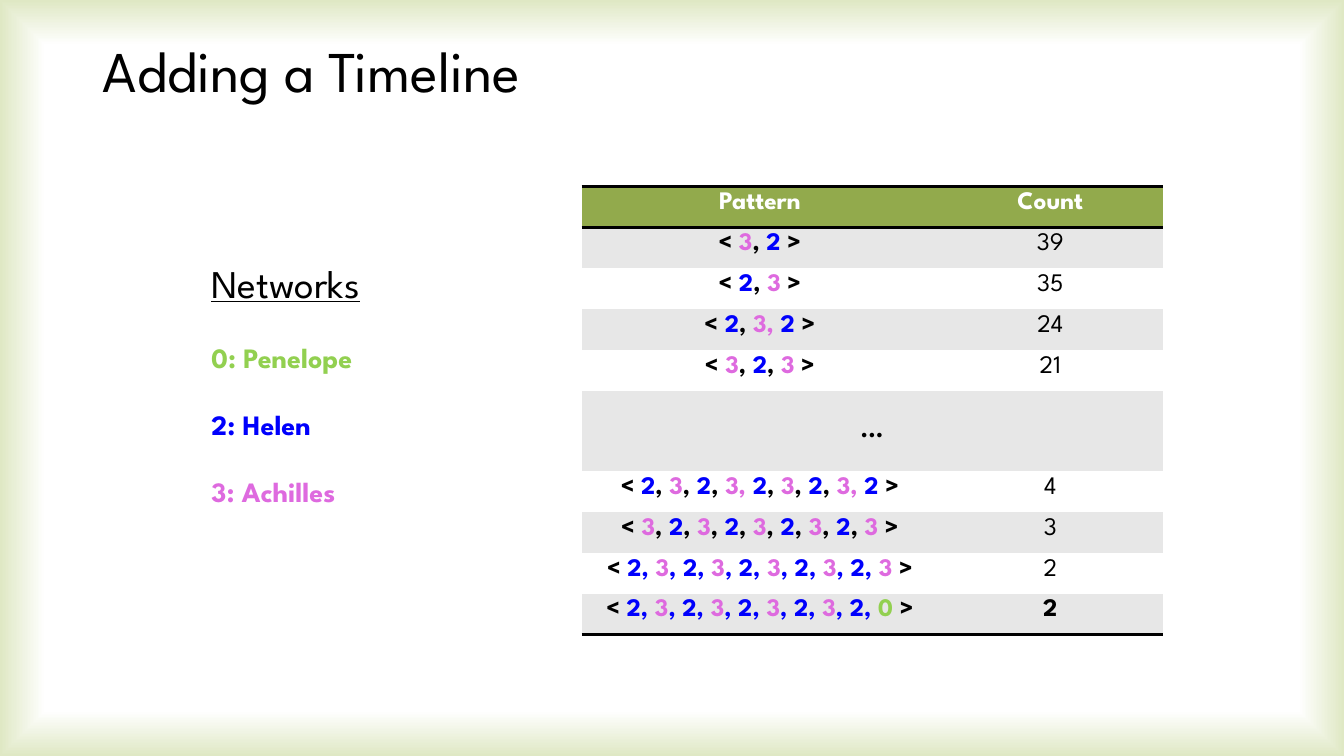
from dataclasses import dataclass
from typing import Optional

from lxml import etree
from pptx import Presentation
from pptx import util as u
from pptx.dml.color import RGBColor
from pptx.enum import text
from pptx.oxml import ns


@dataclass(frozen=True)
class Theme:
    font: str = "League Spartan"
    black: str = "000000"
    white: str = "FFFFFF"
    edge: str = "DFE8C4"
    header: str = "92AA4C"
    band: str = "E7E7E7"
    penelope: str = "92D050"
    helen: str = "0000FC"
    achilles: str = "DE6ADF"
    title_size: float = 41.2
    heading_size: float = 28
    label_size: float = 20
    table_size: float = 18
    rule_width: float = 2


@dataclass(frozen=True)
class PatternRow:
    """Pattern chunks are parted by bars; a chunk's first digit gives its colour."""
    pattern: str
    count: Optional[str] = None
    bold_count: bool = False


@dataclass(frozen=True)
class Label:
    words: str
    color: str
    size: float
    line: float
    before: float = 0
    bold: bool = False
    underline: bool = False


T = Theme()
NETWORK_COLORS = {"0": T.penelope, "2": T.helen, "3": T.achilles}
NO_STYLE = "{2D5ABB26-0587-4C30-8999-92F81FD0307C}"
CENTER = text.PP_ALIGN.CENTER
ROW_HEIGHT, GAP_HEIGHT = u.Cm(1.03), u.Cm(2.02)
TABLE_LINE = 17

ROWS = [
    PatternRow("< |3|, |2 |>", "39"),
    PatternRow("< |2|, |3 |>", "35"),
    PatternRow("< |2|, |3, |2 |>", "24"),
    PatternRow("< |3|, |2|, |3 |>", "21"),
    PatternRow("..."),
    PatternRow("< |2|, |3|, |2|, |3, |2|, |3|, |2|, |3, |2 |>", "4"),
    PatternRow("< |3|, |2|, |3|, |2|, |3|, |2|, |3|, |2|, |3 |>", "3"),
    PatternRow("< |2, |3|, 2, |3|, 2, |3|, 2, |3|, 2, |3 |>", "2"),
    PatternRow("< |2, |3|, 2, |3|, 2, |3|, 2, |3|, 2, |0 |>", "2", True),
]

LABELS = [
    Label("Networks", T.black, T.heading_size, 34, underline=True),
    *(Label(words, color, T.label_size, 24, before=24, bold=True)
      for words, color in (("0: Penelope", T.penelope),
                           ("2: Helen", T.helen),
                           ("3: Achilles", T.achilles))),
]


def apply(target, **values) -> None:
    for name, value in values.items():
        setattr(target, name, value)


def add_run(p, words: str, color: str, size: float, **values) -> None:
    r = p.add_run()
    r.text = words
    apply(r.font, name=T.font, size=u.Pt(size), **values)
    r.font.color.rgb = RGBColor.from_string(color)


def chunk_color(chunk: str) -> str:
    digit = next((c for c in chunk if c.isdigit()), "")
    return NETWORK_COLORS.get(digit, T.black)


def set_background(slide) -> None:
    """White centre fading to green along the slide's edges."""
    fill = slide.background.fill
    fill.gradient()
    for stop, place, color in zip(fill.gradient_stops, (0.88, 1), (T.white, T.edge)):
        stop.position = place
        stop.color.rgb = RGBColor.from_string(color)
    grad = slide.background._cSld.find(".//" + ns.qn("a:gradFill"))
    lin = grad.find(ns.qn("a:lin"))
    if lin is not None:
        grad.remove(lin)
    shade = etree.SubElement(grad, ns.qn("a:path"), path="shape")
    etree.SubElement(shade, ns.qn("a:fillToRect"),
                     {side: "50000" for side in "ltrb"})


def add_title(slide) -> None:
    sp = slide.shapes.title
    apply(sp, left=u.Cm(2.34), top=u.Cm(1.02), width=u.Cm(29.21), height=u.Cm(3.68))
    tf = sp.text_frame
    apply(tf, vertical_anchor=text.MSO_ANCHOR.TOP, word_wrap=True,
          auto_size=text.MSO_AUTO_SIZE.NONE)
    p = tf.paragraphs[0]
    apply(p, alignment=text.PP_ALIGN.LEFT, line_spacing=u.Pt(42), space_before=u.Pt(0))
    add_run(p, "Adding a Timeline", T.black, T.title_size)


def add_networks(slide) -> None:
    tf = slide.shapes.add_textbox(u.Cm(5.08), u.Cm(6.4), u.Cm(5.61), u.Cm(6.58)).text_frame
    tf.word_wrap = True
    for i, label in enumerate(LABELS):
        p = tf.add_paragraph() if i else tf.paragraphs[0]
        apply(p, line_spacing=u.Pt(label.line), space_before=u.Pt(label.before))
        add_run(p, label.words, label.color, label.size,
                bold=label.bold, underline=label.underline)


def start_cell(cell, fill: str):
    """Fill the cell and return its centred paragraph."""
    cell.fill.solid()
    cell.fill.fore_color.rgb = RGBColor.from_string(fill)
    p = cell.text_frame.paragraphs[0]
    apply(p, alignment=CENTER, line_spacing=u.Pt(TABLE_LINE))
    return p


def add_borders(cell, *tags: str) -> None:
    tc_pr = cell._tc.get_or_add_tcPr()
    for i, tag in enumerate(tags):
        ln = etree.Element(ns.qn(tag), w=str(u.Pt(T.rule_width)))
        solid = etree.SubElement(ln, ns.qn("a:solidFill"))
        etree.SubElement(solid, ns.qn("a:srgbClr"), val=T.black)
        tc_pr.insert(i, ln)


def add_pattern_table(slide) -> None:
    frame = slide.shapes.add_table(len(ROWS) + 1, 2, u.Cm(14.66), u.Cm(4.7), u.Cm(14.64),
                                   ROW_HEIGHT * len(ROWS) + GAP_HEIGHT)
    table = frame.table
    apply(table, first_row=False, horz_banding=False)
    table._tbl.tblPr.find(ns.qn("a:tableStyleId")).text = NO_STYLE
    for column, width in zip(table.columns, (8.98, 5.66)):
        column.width = u.Cm(width)

    table.rows[0].height = ROW_HEIGHT
    for cell, words in zip(table.rows[0].cells, ("Pattern", "Count")):
        add_run(start_cell(cell, T.header), words, T.white, T.table_size, bold=True)
        add_borders(cell, "a:lnT", "a:lnB")

    for i, row in enumerate(ROWS, 1):
        table.rows[i].height = ROW_HEIGHT if row.count else GAP_HEIGHT
        pattern_cell, count_cell = table.rows[i].cells
        pattern_p, count_p = (start_cell(cell, T.band if i % 2 else T.white)
                              for cell in (pattern_cell, count_cell))
        for chunk in row.pattern.split("|"):
            add_run(pattern_p, chunk, chunk_color(chunk), T.table_size, bold=True)
        if row.count:
            add_run(count_p, row.count, T.black, T.table_size, bold=row.bold_count)
        else:
            pattern_cell.merge(count_cell)
            pattern_cell.vertical_anchor = text.MSO_ANCHOR.MIDDLE

    for cell in table.rows[len(ROWS)].cells:
        add_borders(cell, "a:lnB")


def main() -> None:
    prs = Presentation()
    apply(prs, slide_width=u.Cm(33.87), slide_height=u.Cm(19.05))
    slide = prs.slides.add_slide(prs.slide_layouts.get_by_name("Title Only"))
    set_background(slide)
    add_title(slide)
    add_pattern_table(slide)
    add_networks(slide)
    prs.save("out.pptx")


if __name__ == "__main__":
    main()
